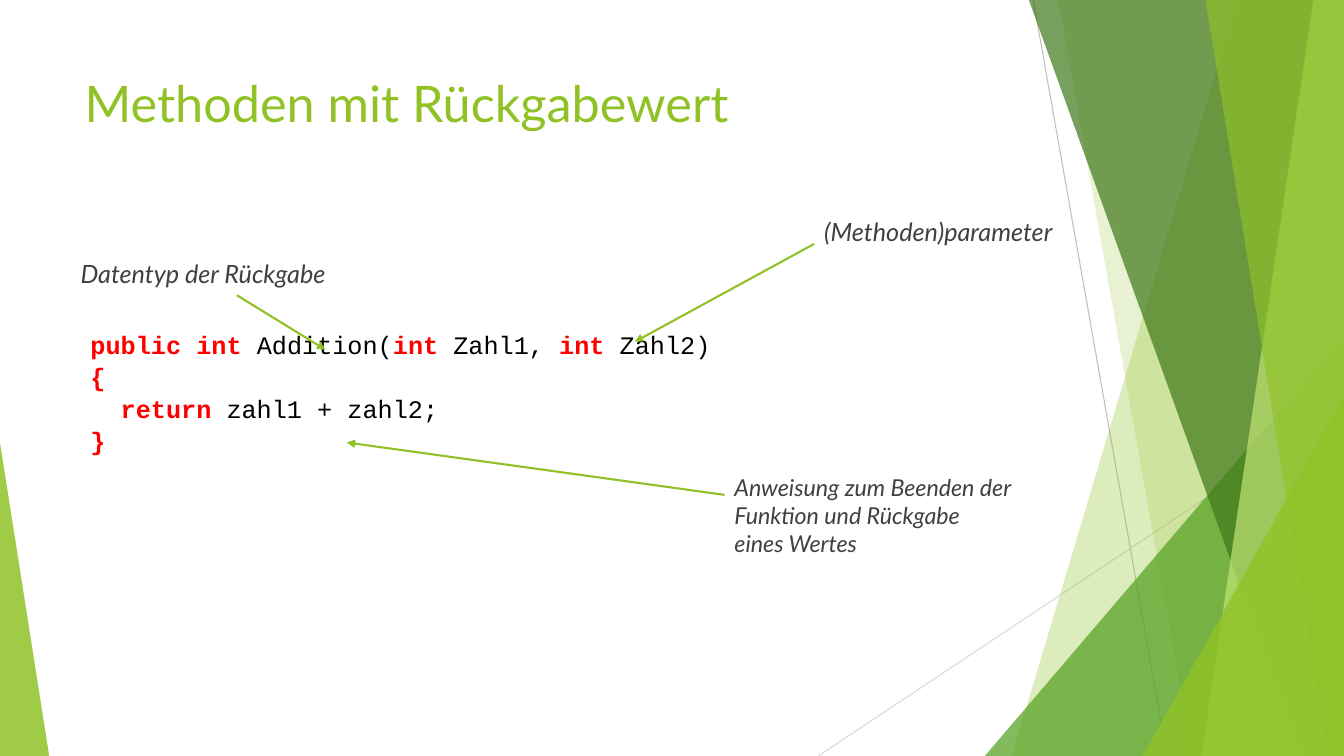
from lxml import etree
from pptx import Presentation
from pptx.dml.color import RGBColor
from pptx.enum import shapes, text
from pptx.oxml.ns import qn
from pptx.util import Cm, Pt

WIDTH, HEIGHT = 33.87, 19.05
GREEN, RED, BLACK, GREY = "90C226", "FF0000", "000000", "404040"

BANDS = [
    (31.19, 25.50, GREEN, 30),
    (26.67, 30.05, GREEN, 20),
    (25.93, 32.79, "3F7819", 70),
    (30.38, 33.48, GREEN, 65),
]
PALE_BAND = (33.10, 30.28, "C0E474", 70)

CODE = [
    [("public int ", True), ("Addition(", False), ("int ", True),
     ("Zahl1, ", False), ("int ", True), ("Zahl2)", False)],
    [("{", True)],
    [("  return", True), (" zahl1 + zahl2;", False)],
    [("}", True)],
]

NOTES = [
    ("(Methoden)parameter", 18, (20.52, 5.33, 8.05, 1.63),
     (20.52, 6.15), (16.0, 8.61), True),
    ("Anweisung zum Beenden der Funktion und Rückgabe\veines Wertes", 16.6,
     (18.26, 11.81, 8.94, 2.26), (18.26, 12.47), (8.74, 11.15), False),
    ("Datentyp der Rückgabe", 18, (1.78, 6.38, 8.05, 1.63),
     (5.97, 7.44), (8.2, 8.81), False),
]


def rgb(value):
    return RGBColor.from_string(value)


def lengths(values):
    return [Cm(value) for value in values]


def style_font(font, name, size, color, bold=False, italic=False):
    font.name, font.size = name, Pt(size)
    font.bold, font.italic = bold, italic
    font.color.rgb = rgb(color)


def paint(shape, color, opacity):
    shape.shadow.inherit = False
    shape.line.fill.background()
    shape.fill.solid()
    shape.fill.fore_color.rgb = rgb(color)
    tint = shape.fill._xPr.find(qn("a:solidFill"))[0]
    etree.SubElement(tint, qn("a:alpha")).set("val", str(opacity * 1000))


def add_line(slide, start, end, color, weight, arrow=False):
    line = slide.shapes.add_connector(
        shapes.MSO_CONNECTOR.STRAIGHT, *lengths(start + end))
    line.line.color.rgb = rgb(color)
    line.line.width = Pt(weight)
    properties = line._element.spPr
    if arrow:
        tail = etree.SubElement(properties.find(qn("a:ln")), qn("a:tailEnd"))
        tail.set("type", "triangle")
    etree.SubElement(properties, qn("a:effectLst"))
    return line


def add_band(slide, top_x, bottom_x, color, opacity):
    outline = slide.shapes.build_freeform(Cm(top_x), 0)
    corners = [(WIDTH, 0), (WIDTH, HEIGHT), (bottom_x, HEIGHT)]
    outline.add_line_segments([lengths(corner) for corner in corners])
    paint(outline.convert_to_shape(), color, opacity)


def add_corner(slide, box, apex, color, opacity):
    corner = slide.shapes.add_shape(
        shapes.MSO_SHAPE.ISOSCELES_TRIANGLE, *lengths(box))
    corner.adjustments[0] = apex
    paint(corner, color, opacity)


def add_backdrop(slide):
    add_line(slide, (26.04, 0), (29.41, HEIGHT), "BFBFBF", 0.75)
    add_line(slide, (WIDTH, 10.24), (20.62, HEIGHT), "D9D9D9", 0.75)
    for band in BANDS[:2]:
        add_band(slide, *band)
    add_corner(slide, (24.82, 8.46, 9.05, 10.59), 1, "54A021", 72)
    for band in (BANDS[2], PALE_BAND, BANDS[3]):
        add_band(slide, *band)
    add_corner(slide, (28.8, 9.98, 5.07, 9.07), 1, GREEN, 80)
    add_corner(slide, (0, 11.15, 1.24, 7.9), 0, GREEN, 85)


def add_title(slide, box):
    title = slide.shapes.title
    title.left, title.top, title.width, title.height = lengths(box)
    title.text_frame.text = "Methoden mit Rückgabewert"
    title.text_frame.vertical_anchor = text.MSO_ANCHOR.TOP
    heading = title.text_frame.paragraphs[0]
    heading.alignment = text.PP_ALIGN.LEFT
    style_font(heading.runs[0].font, "Lato", 36, GREEN)


def add_code(slide, box):
    frame = slide.shapes.add_textbox(*lengths(box)).text_frame
    frame.word_wrap = True
    for number, pieces in enumerate(CODE):
        line = frame.add_paragraph() if number else frame.paragraphs[0]
        line.line_spacing = 1.06
        for words, keyword in pieces:
            run = line.add_run()
            run.text = words
            style_font(run.font, "Courier New", 18,
                       RED if keyword else BLACK, bold=keyword)


def add_note(slide, words, size, box, start, end, joined):
    arrow = add_line(slide, start, end, GREEN, 1.5, arrow=True)
    note = slide.shapes.add_textbox(*lengths(box))
    note.text_frame.word_wrap = True
    note.text_frame.text = words
    for run in note.text_frame.paragraphs[0].runs:
        style_font(run.font, "Lato", size, GREY, italic=True)
    if joined:
        arrow.begin_connect(note, 1)


def main():
    deck = Presentation()
    deck.slide_width, deck.slide_height = lengths((WIDTH, HEIGHT))
    slide = deck.slides.add_slide(deck.slide_layouts[5])
    add_backdrop(slide)
    add_title(slide, (1.88, 1.7, 23.88, 3.66))
    add_code(slide, (2.03, 8.13, 23.77, 3.3))
    for note in NOTES:
        add_note(slide, *note)
    deck.save("out.pptx")


if __name__ == "__main__":
    main()
